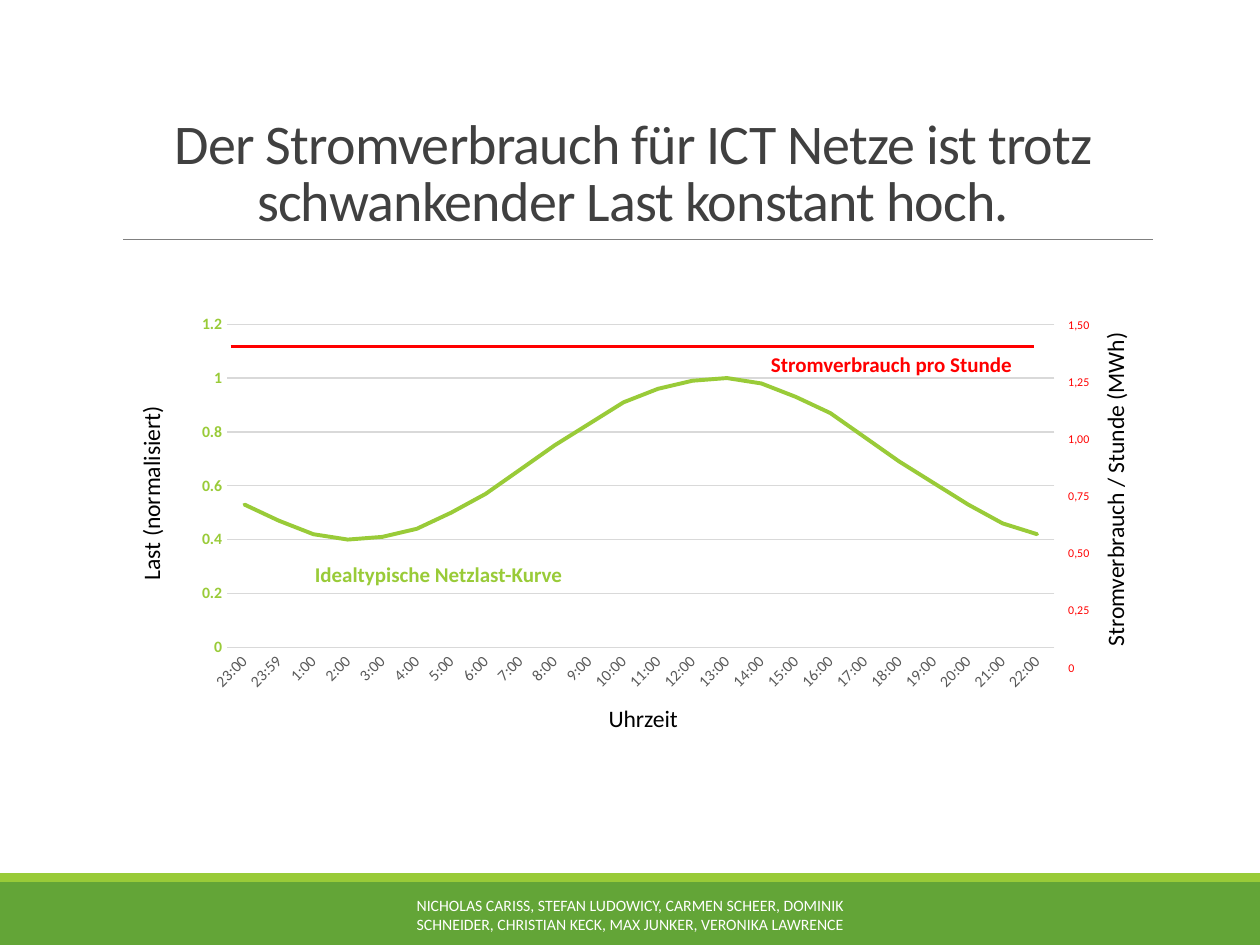
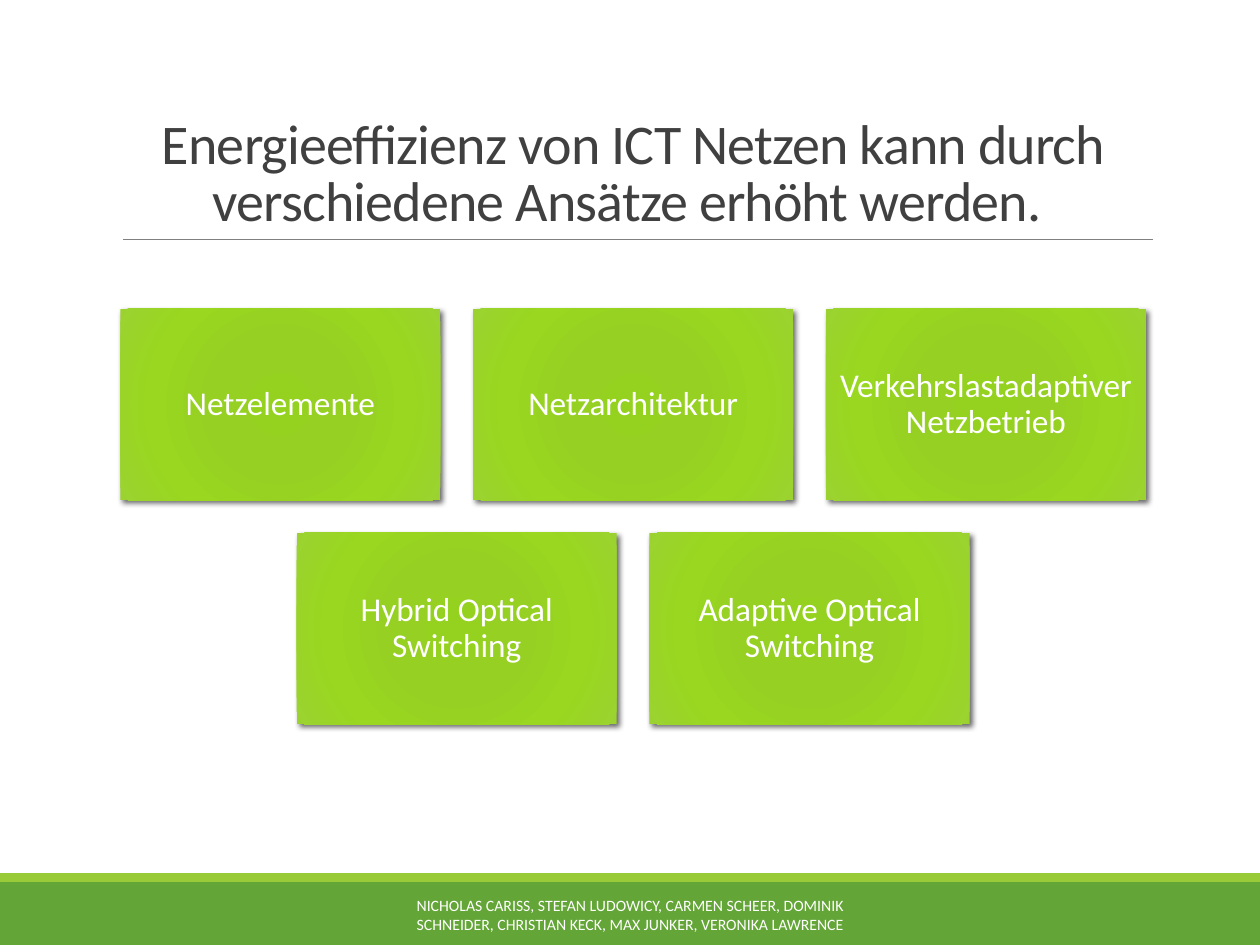
from lxml import etree
from pptx import Presentation
from pptx.chart.data import CategoryChartData
from pptx.dml.color import RGBColor
from pptx.enum.chart import XL_CHART_TYPE as Chart, XL_TICK_MARK as Tick
from pptx.enum.shapes import MSO_CONNECTOR as Conn, MSO_SHAPE as Shape
from pptx.enum.text import MSO_ANCHOR as Anchor, MSO_AUTO_SIZE as Auto, PP_ALIGN as Align
from pptx.oxml import parse_xml
from pptx.oxml.ns import nsdecls, qn
from pptx.util import Inches, Pt

FONT = "Calibri"
GREEN, DARK_GREEN, RED = "99CB38", "63A537", "FF0000"
BLACK, WHITE, GRAY, RULE, GRID = "000000", "FFFFFF", "404040", "808080", "D9D9D9"
TILE_STOPS = {0: "95D220", 34: "96D023", 70: "99D720", 100: "9BD231"}
AUTHORS = ("NICHOLAS CARISS, STEFAN LUDOWICY, CARMEN SCHEER, DOMINIK SCHNEIDER, "
           "CHRISTIAN KECK, MAX JUNKER, VERONIKA LAWRENCE")
HOURS = ["23:00", "23:59"] + [f"{hour}:00" for hour in range(1, 23)]
LOAD = [0.53, 0.47, 0.42, 0.4, 0.41, 0.44, 0.5, 0.57, 0.66, 0.75, 0.83, 0.91,
        0.96, 0.99, 1, 0.98, 0.93, 0.87, 0.78, 0.69, 0.61, 0.53, 0.46, 0.42]
POWER_SCALE = ["1,50", "1,25", "1,00", "0,75", "0,50", "0,25", "0"]
APPROACHES = [["Netzelemente", "Netzarchitektur", "Verkehrslastadaptiver Netzbetrieb"],
              ["Hybrid Optical Switching", "Adaptive Optical Switching"]]


def rgb(color):
    return RGBColor.from_string(color)


def inches(*values):
    return [Inches(v) for v in values]


def apply(target, **values):
    for name, value in values.items():
        setattr(target, name, value)


def set_font(font, size, color, bold=False):
    apply(font, size=Pt(size), name=FONT, bold=bold)
    font.color.rgb = rgb(color)


def write(tf, text, size, color, bold=False, align=Align.CENTER, spacing=None, **frame):
    apply(tf, **{"word_wrap": True, **frame})
    p = tf.paragraphs[0]
    apply(p, alignment=align, line_spacing=spacing)
    r = p.add_run()
    r.text = text
    set_font(r.font, size, color, bold)
    return r


def add_text(s, box, text, size, color, rotation=0, **style):
    sp = s.shapes.add_textbox(*inches(*box))
    sp.rotation = rotation
    return write(sp.text_frame, text, size, color, **style)


def add_line(s, x1, y1, x2, y2, color, width):
    line = s.shapes.add_connector(Conn.STRAIGHT, *inches(x1, y1, x2, y2))
    line.line.color.rgb = rgb(color)
    line.line.width = Pt(width)
    etree.SubElement(line._element.spPr, qn("a:effectLst"))


def add_band(s, y, h, color):
    sp = s.shapes.add_shape(Shape.RECTANGLE, *inches(0, y, 10, h))
    sp.shadow.inherit = False
    sp.fill.solid()
    sp.fill.fore_color.rgb = rgb(color)
    sp.line.fill.background()


def add_slide(prs, title):
    s = prs.slides.add_slide(prs.slide_layouts[6])
    add_band(s, 7, 0.5, DARK_GREEN)
    add_band(s, 6.93, 0.07, GREEN)
    add_line(s, 0.98, 1.9, 9.15, 1.9, RULE, 0.5)
    r = add_text(s, (0.9, 0.31, 8.25, 1.59), title, 32, GRAY,
                 spacing=0.85, vertical_anchor=Anchor.BOTTOM)
    r.font._element.set("spc", "-50")
    add_text(s, (3.02, 7.06, 3.96, 0.4), AUTHORS, 9, WHITE, vertical_anchor=Anchor.MIDDLE)
    return s


def style_axis(axis, size, color, bold=False):
    apply(axis, major_tick_mark=Tick.NONE, minor_tick_mark=Tick.NONE)
    set_font(axis.tick_labels.font, size, color, bold)


def add_load_chart(s, x, y, w, h):
    data = CategoryChartData()
    data.categories = HOURS
    data.add_series("Series 1", LOAD)
    chart = s.shapes.add_chart(Chart.LINE, *inches(x, y, w, h), data).chart
    apply(chart, has_legend=False, has_title=False)
    set_font(chart.font, 10, BLACK)

    hours, load = chart.category_axis, chart.value_axis
    style_axis(hours, 9, "595959")
    hours.format.line.color.rgb = rgb(GRID)
    hours.format.line.width = Pt(0.75)
    hours.tick_labels.font._element.getparent().getparent().getparent().find(
        qn("a:bodyPr")).set("rot", "-2700000")
    style_axis(load, 9, GREEN, bold=True)
    apply(load, minimum_scale=0, maximum_scale=1.2, major_unit=0.2)
    load.format.line.fill.background()
    grid = load.major_gridlines.format.line
    grid.color.rgb = rgb(GRID)
    grid.width = Pt(0.75)

    chart.plots[0].vary_by_categories = False
    curve = chart.plots[0].series[0]
    curve.smooth = False
    curve.format.line.color.rgb = rgb(GREEN)
    curve.format.line.width = Pt(2.25)
    curve.format.line._ln.set("cap", "rnd")
    curve.marker.style = None
    curve.marker._element.get_or_add_marker().get_or_add_symbol().set("val", "none")

    plot_area = chart._chartSpace.chart.plotArea
    for layout in plot_area.findall(qn("c:layout")):
        plot_area.remove(layout)
    sizes = {"x": 0.05, "y": 0.04, "w": 0.93, "h": 0.83}
    modes = "".join(f'<c:{k}Mode val="edge"/>' for k in "xy")
    values = "".join(f'<c:{k} val="{v}"/>' for k, v in sizes.items())
    plot_area.insert(0, parse_xml(
        f'<c:layout {nsdecls("c")}><c:manualLayout><c:layoutTarget val="inner"/>'
        f'{modes}{values}</c:manualLayout></c:layout>'))


def add_load_diagram(s, x, y, w, h):
    add_load_chart(s, x, y, w, h)
    axis_titles = [((x - 1.64, y + 1.3, 2.78, 0.33), "Last (normalisiert)", 270),
                   ((x + 0.26, y + h, w - 0.27, 0.33), "Uhrzeit", 0),
                   ((x + 5.98, y + 1.27, 2.84, 0.33), "Stromverbrauch / Stunde (MWh)", 270)]
    for box, text, rotation in axis_titles:
        add_text(s, box, text, 13.5, BLACK, rotation, auto_size=Auto.SHAPE_TO_FIT_TEXT)

    label = dict(align=Align.LEFT, word_wrap=False, auto_size=Auto.SHAPE_TO_FIT_TEXT)
    for i, text in enumerate(POWER_SCALE):
        width = 0.37 if "," in text else 0.25
        add_text(s, (x + w - 0.13, y + 0.02 + i * 2.72 / 6, width, 0.21), text, 6.8, RED, **label)
    add_line(s, x + 0.38, y + 0.3, x + 6.76, y + 0.3, RED, 2.25)
    add_text(s, (x + 0.95, y + 1.96, 2.19, 0.3), "Idealtypische Netzlast-Kurve",
             12, GREEN, bold=True, **label)
    add_text(s, (x + 4.57, y + 0.29, 2.14, 0.3), "Stromverbrauch pro Stunde",
             12, RED, bold=True, **label)


def add_tile(s, x, y, w, h, text):
    sp = s.shapes.add_shape(Shape.RECTANGLE, *inches(x, y, w, h))
    sp.shadow.inherit = False
    sp.line.fill.background()
    spPr = sp._element.spPr
    stops = "".join(f'<a:gs pos="{pos * 1000}"><a:srgbClr val="{color}"/></a:gs>'
                    for pos, color in TILE_STOPS.items())
    edges = " ".join(f'{side}="100000"' for side in "ltrb")
    spPr.insert(2, parse_xml(
        f'<a:gradFill {nsdecls("a")} rotWithShape="1"><a:gsLst>{stops}</a:gsLst>'
        f'<a:path path="circle"><a:fillToRect {edges}/></a:path></a:gradFill>'))
    spPr.find(qn("a:effectLst")).append(parse_xml(
        f'<a:outerShdw {nsdecls("a")} blurRad="{Pt(3.5)}" dist="{Pt(2)}" dir="2700000" '
        'rotWithShape="0"><a:srgbClr val="000000"><a:alpha val="60000"/></a:srgbClr></a:outerShdw>'))
    margins = {f"margin_{side}": Inches(0.08) for side in ("left", "top", "right", "bottom")}
    write(sp.text_frame, text, 19, WHITE, spacing=0.9, vertical_anchor=Anchor.MIDDLE, **margins)


def add_tile_rows(s, x, y, w, rows, tile_w=2.54, tile_h=1.52, gap=0.26):
    for i, row in enumerate(rows):
        row_w = len(row) * (tile_w + gap) - gap
        left = x + (w - row_w) / 2
        for j, text in enumerate(row):
            add_tile(s, left + j * (tile_w + gap), y + i * (tile_h + gap), tile_w, tile_h, text)


def main():
    prs = Presentation()
    prs.slide_width, prs.slide_height = inches(10, 7.5)
    s = add_slide(prs, "Der Stromverbrauch für ICT Netze ist trotz schwankender Last konstant hoch.")
    add_load_diagram(s, 1.45, 2.45, 7.06, 3.09)
    s = add_slide(prs, "Energieeffizienz von ICT Netzen kann durch verschiedene Ansätze erhöht werden. ")
    add_tile_rows(s, 0.96, 2.45, 8.13, APPROACHES)
    prs.save("out.pptx")


if __name__ == "__main__":
    main()
